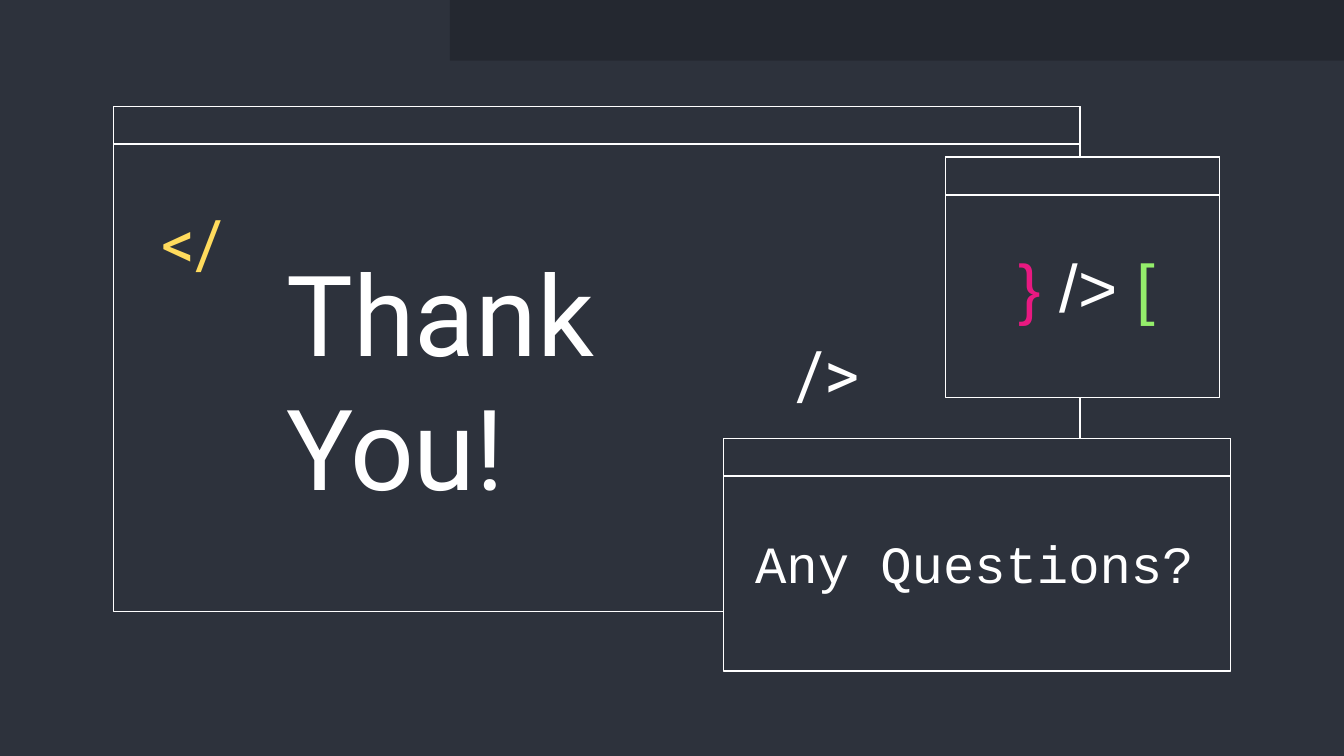
"""Build a closing thank-you slide styled as overlapping code windows."""
from pptx import Presentation
from pptx import util as u
from pptx.dml.color import RGBColor
from pptx.enum import shapes, text

BACKGROUND = RGBColor(0x2D, 0x32, 0x3C)
DARK = RGBColor(0x24, 0x28, 0x30)
WHITE = RGBColor(0xFF, 0xFF, 0xFF)
PINK = RGBColor(0xE8, 0x19, 0x81)
GREEN = RGBColor(0x94, 0xEE, 0x6B)
YELLOW = RGBColor(0xFF, 0xDB, 0x5D)

SLIDE_WIDTH, SLIDE_HEIGHT = 720, 405
TITLE_BAR_HEIGHT = 20.2
INSET = 7.2
TOP_STRIP = (241, 0, 479, 32.5)
WINDOWS = [
    (60.7, 57, 518, 270.7),
    (387.7, 234.8, 271.5, 124.8),
    (506.6, 84.2, 146.8, 128.8),
]
TOP, MIDDLE = text.MSO_ANCHOR.TOP, text.MSO_ANCHOR.MIDDLE
LEFT, CENTER = text.PP_ALIGN.LEFT, text.PP_ALIGN.CENTER
LABELS = [
    ((534.2, 128.9, 95.8, 59), [("}", PINK), (" /> ", WHITE), ("[", GREEN)],
     "Arial", 36, INSET, TOP, CENTER, 0.9),
    ((153.4, 123.8, 259.2, 78.5), [("Thank You!", WHITE)],
     "Roboto", 60, 0, TOP, LEFT, 1.0),
    ((79.2, 108.7, 55.4, 47.5), [("</", YELLOW)],
     "Roboto", 36, INSET, MIDDLE, LEFT, 0.9),
    ((419.8, 178.6, 55.4, 47.5), [("/>", WHITE)],
     "Roboto", 36, INSET, MIDDLE, LEFT, 0.9),
    ((404.6, 277.2, 259.2, 57.6), [("Any Questions?", WHITE)],
     "Courier New", 28, 0, TOP, LEFT, 1.0),
]


def add_rectangle(slide, box, fill, outline=None):
    shape = slide.shapes.add_shape(shapes.MSO_SHAPE.RECTANGLE, *map(u.Pt, box))
    shape.shadow.inherit = False
    shape.fill.solid()
    shape.fill.fore_color.rgb = fill
    if outline is None:
        shape.line.fill.background()
    else:
        shape.line.color.rgb = outline
        shape.line.width = u.Pt(0.75)


def add_window(slide, box):
    left, top, width, _ = box
    add_rectangle(slide, box, BACKGROUND, WHITE)
    add_rectangle(slide, (left, top, width, TITLE_BAR_HEIGHT), BACKGROUND, WHITE)


def add_label(slide, box, pieces, font, size, side_inset, anchor, alignment, spacing):
    frame = slide.shapes.add_textbox(*map(u.Pt, box)).text_frame
    frame.word_wrap = True
    frame.vertical_anchor = anchor
    frame.margin_left = frame.margin_right = u.Pt(side_inset)
    frame.margin_top = frame.margin_bottom = u.Pt(INSET)
    paragraph = frame.paragraphs[0]
    paragraph.alignment = alignment
    paragraph.line_spacing = spacing
    for words, color in pieces:
        run = paragraph.add_run()
        run.text = words
        run.font.name = font
        run.font.size = u.Pt(size)
        run.font.color.rgb = color


def main():
    presentation = Presentation()
    presentation.slide_width = u.Pt(SLIDE_WIDTH)
    presentation.slide_height = u.Pt(SLIDE_HEIGHT)
    slide = presentation.slides.add_slide(presentation.slide_layouts[6])
    slide.background.fill.solid()
    slide.background.fill.fore_color.rgb = BACKGROUND

    add_rectangle(slide, TOP_STRIP, DARK)
    for box in WINDOWS:
        add_window(slide, box)
    for label in LABELS:
        add_label(slide, *label)
    presentation.save("out.pptx")


if __name__ == "__main__":
    main()
